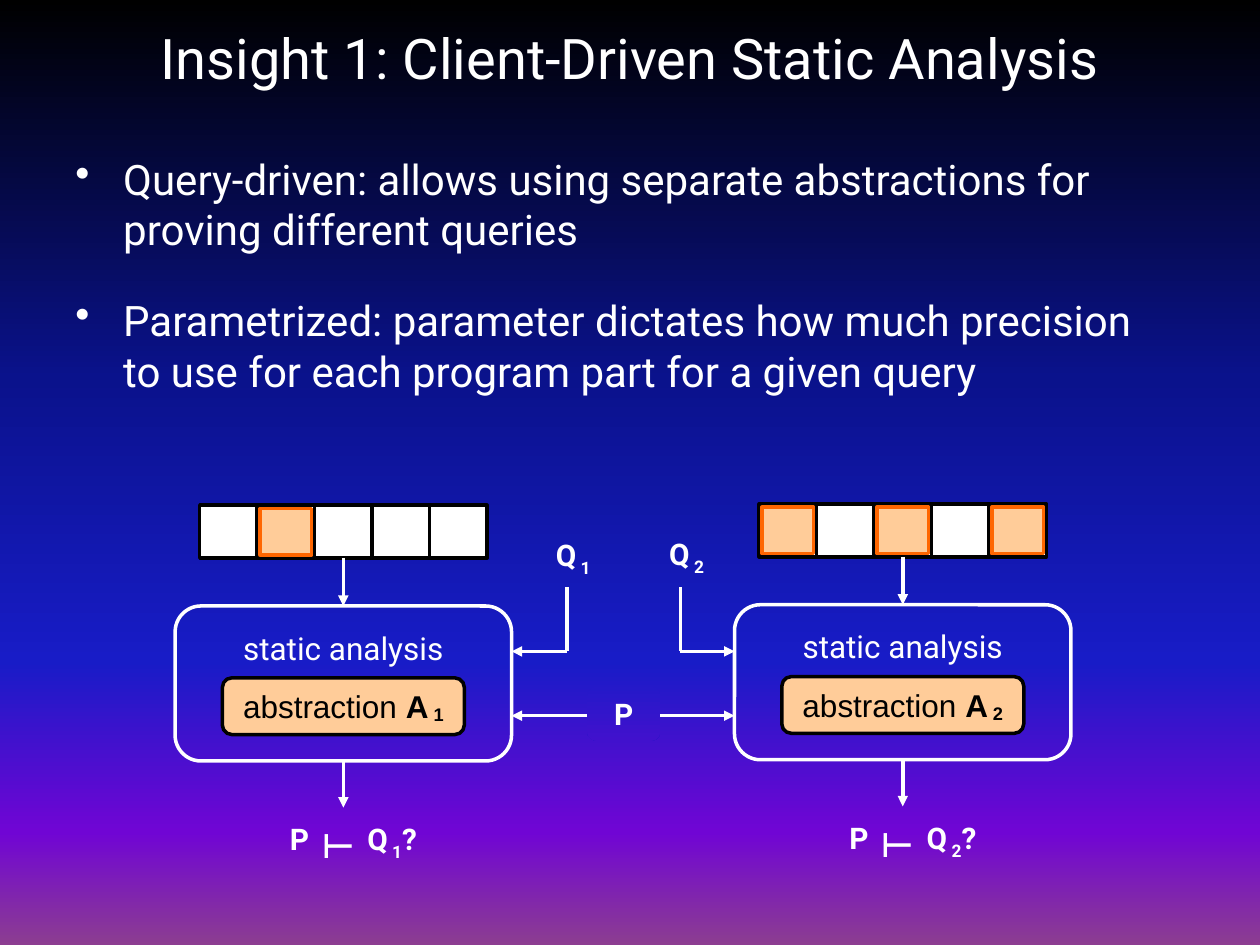
"""Build the slide on client-driven static analysis."""
import pptx
import pptx.dml.color
import pptx.enum.shapes
import pptx.enum.text
import pptx.oxml
import pptx.oxml.ns
import pptx.util

Inches, Pt = pptx.util.Inches, pptx.util.Pt
KIND = pptx.enum.shapes.MSO_SHAPE
ALIGN = pptx.enum.text.PP_ALIGN
ANCHOR = pptx.enum.text.MSO_ANCHOR

TITLE = "Insight 1: Client-Driven Static Analysis"
POINTS = [
    "Query-driven: allows using separate abstractions for proving different queries",
    "Parametrized: parameter dictates how much precision to use for each program part for a given query",
]
BACK = [(0, "000000"), (40, "0A128C"), (70, "181CC7"), (88, "7005D4"), (100, "8C3D91")]
PATCH = [(0, "2519C9"), (100, "4111CD")]
WHITE, BLACK, PEACH, ORANGE = "FFFFFF", "000000", "FFCC99", "FF6600"
SIDES = [
    dict(num="1", left=1.39, top=4.81, marked=[1], stem=4.5, edge=4.06, label=4.27),
    dict(num="2", left=5.83, top=4.8, marked=[0, 2, 4], stem=5.4, edge=5.83, label=5.17),
]
BOX_W, BOX_H = 2.67, 1.23
STRIP_W, STRIP_H, CELLS = 2.28, 0.42, 5
ABS_W, ABS_H = 1.92, 0.45
MARK_W, MARK_H = 0.41, 0.37
QUERY_Y, PROG_Y = 5.17, 5.68

deck = pptx.Presentation()
deck.slide_width, deck.slide_height = Inches(10), Inches(7.5)
slide = deck.slides.add_slide(deck.slide_layouts[5])


def rgb(code):
    return pptx.dml.color.RGBColor.from_string(code)


def fade(owner, fill, stops):
    fill.gradient()
    fill.gradient_angle = 270
    holder = owner.element.xpath(".//a:gsLst")[0]
    for old in list(holder):
        holder.remove(old)
    for place, code in stops:
        stop = pptx.oxml.parse_xml(
            f'<a:gs {pptx.oxml.ns.nsdecls("a")} pos="{place * 1000}"><a:srgbClr val="{code}"/></a:gs>')
        holder.append(stop)


def write(shape, paras, size=18, font="Roboto", color=WHITE, bold=False, align=ALIGN.CENTER,
          anchor=ANCHOR.MIDDLE, wrap=False, top=0.05, gap=0, bullet=False):
    frame = shape.text_frame
    frame.auto_size = pptx.enum.text.MSO_AUTO_SIZE.NONE
    frame.word_wrap, frame.vertical_anchor = wrap, anchor
    frame.margin_left = frame.margin_right = Inches(0.1)
    frame.margin_top, frame.margin_bottom = Inches(top), Inches(0.05)
    for i, runs in enumerate(paras):
        para = frame.add_paragraph() if i else frame.paragraphs[0]
        para.alignment = align
        if i:
            para.space_before = Pt(gap)
        if bullet:
            props = para._p.get_or_add_pPr()
            props.set("marL", str(Inches(0.38)))
            props.set("indent", str(-Inches(0.38)))
            props.append(pptx.oxml.parse_xml(f'<a:buChar {pptx.oxml.ns.nsdecls("a")} char="•"/>'))
        for words, extra in runs:
            run = para.add_run()
            run.text = words
            face = run.font
            face.size = Pt(extra.get("size", size))
            face.name = extra.get("font", font)
            face.bold = extra.get("bold", bold)
            face.color.rgb = rgb(color)
            if "base" in extra:
                run._r.get_or_add_rPr().set("baseline", str(extra["base"] * 1000))


def shape(kind, left, top, width, height, fill=None, line=None):
    item = slide.shapes.add_shape(kind, *map(Inches, (left, top, width, height)))
    item.shadow.inherit = False
    if kind == KIND.ROUNDED_RECTANGLE:
        item.adjustments[0] = 0.167
    if fill:
        item.fill.solid()
        item.fill.fore_color.rgb = rgb(fill)
    else:
        item.fill.background()
    if line:
        item.line.color.rgb = rgb(line)
        item.line.width = Pt(2)
    else:
        item.line.fill.background()
    return item


def text(left, top, width, height, paras, **style):
    item = slide.shapes.add_textbox(*map(Inches, (left, top, width, height)))
    write(item, paras, **style)


def link(start, end, color=WHITE, ends=(), source=None, target=None):
    item = slide.shapes.add_connector(pptx.enum.shapes.MSO_CONNECTOR.STRAIGHT,
                                      *map(Inches, (*start, *end)))
    item.line.color.rgb = rgb(color)
    item.line.width = Pt(2)
    space = pptx.oxml.ns.nsdecls("a")
    for tip in ends:
        item.line._get_or_add_ln().append(pptx.oxml.parse_xml(f'<a:{tip} {space} type="triangle"/>'))
    item._element.spPr.append(pptx.oxml.parse_xml(f"<a:effectLst {space}/>"))
    if source:
        item.begin_connect(source, 2)
    if target:
        item.end_connect(target, 0)


def strip(mid, top, marked):
    left, step = mid - STRIP_W / 2, STRIP_W / CELLS
    row = shape(KIND.RECTANGLE, left, top, STRIP_W, STRIP_H, WHITE, BLACK)
    for i in range(1, CELLS):
        x = left + i * step
        link((x, top), (x, top + STRIP_H), BLACK)
    for i in marked:
        shape(KIND.RECTANGLE, left + i * step + (step - MARK_W) / 2,
              top + (STRIP_H - MARK_H) / 2, MARK_W, MARK_H, PEACH, ORANGE)
    return row


def side(num, left, top, marked, stem, edge, label):
    mid, base = left + BOX_W / 2, top + BOX_H
    box = shape(KIND.ROUNDED_RECTANGLE, left, top, BOX_W, BOX_H, line=WHITE)
    write(box, [[("static analysis", {})]], anchor=ANCHOR.TOP, top=0.12)
    core = shape(KIND.ROUNDED_RECTANGLE, mid - ABS_W / 2, top + 0.57, ABS_W, ABS_H, PEACH, BLACK)
    write(core, [[("abstraction ", {}), ("A", {"bold": True}), (" ", {"bold": True, "size": 10}),
                  (num, {"bold": True, "base": -10})]], font="Arial", color=BLACK)
    row = strip(mid, top - 0.8, marked)
    link((mid, top - 0.38), (mid, top), ends=["tailEnd"], source=row, target=box)
    link((mid, base), (mid, base + 0.37), ends=["tailEnd"], source=box)
    query = [("Q", {}), (" ", {"size": 10}), (num, {"base": -25})]
    name = shape(KIND.ROUNDED_RECTANGLE, label, top - 0.6, 0.56, 0.43)
    write(name, [query], size=17, bold=True)
    link((stem, 4.66), (stem, QUERY_Y))
    link((stem, QUERY_Y), (edge, QUERY_Y), ends=["tailEnd"])
    proof = [("P", {}), (" ", {"size": 18}), ("⊢", {"size": 42, "font": "Times New Roman", "base": -10}),
             (" ", {"size": 18}), *query, ("?", {})]
    text(mid - 0.53, top + 1.43, 1.22, 0.57, [proof], size=17, bold=True)


fade(slide, slide.background.fill, BACK)
title = slide.shapes.title
title.left, title.top, title.width, title.height = map(Inches, (0, 0.08, 10, 0.75))
write(title, [[(TITLE, {})]], size=32, wrap=True)
text(0.5, 1.17, 8.83, 2.67, [[(point, {})] for point in POINTS], size=24, align=ALIGN.LEFT,
     anchor=ANCHOR.TOP, wrap=True, gap=23, bullet=True)
for part in SIDES:
    side(**part)
link((SIDES[1]["edge"], PROG_Y), (SIDES[0]["edge"], PROG_Y), ends=["headEnd", "tailEnd"])
prog = shape(KIND.ROUNDED_RECTANGLE, 4.66, 5.45, 0.58, 0.43)
fade(prog, prog.fill, PATCH)
write(prog, [[("P", {})]], size=17, bold=True)
deck.save("out.pptx")
